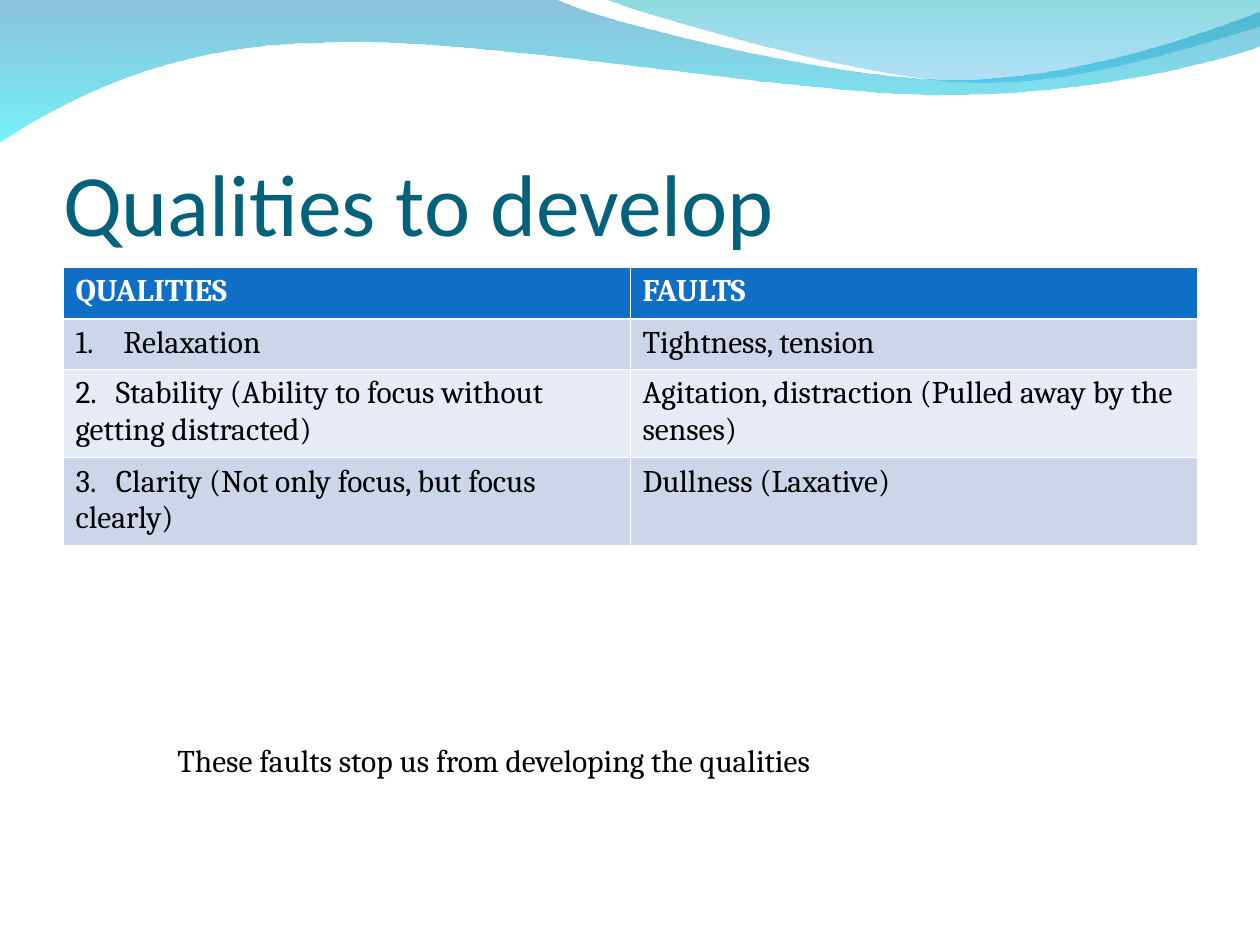
from lxml import etree
from pptx import Presentation
from pptx.dml.color import RGBColor
from pptx.enum.text import MSO_ANCHOR, MSO_AUTO_SIZE, PP_ALIGN
from pptx.oxml.ns import qn
from pptx.util import Inches, Pt

BOTTOM, LEFT = MSO_ANCHOR.BOTTOM, PP_ALIGN.LEFT
FIT_SHAPE, FIXED_SIZE = MSO_AUTO_SIZE.SHAPE_TO_FIT_TEXT, MSO_AUTO_SIZE.NONE
WHITE = RGBColor(0xFF, 0xFF, 0xFF)
BLACK = RGBColor(0, 0, 0)
TEAL = RGBColor(0x04, 0x61, 0x7B)
HEADER_BLUE = RGBColor(0x0F, 0x6F, 0xC6)
BAND_DARK = RGBColor(0xCC, 0xD5, 0xEA)
BAND_LIGHT = RGBColor(0xE7, 0xEB, 0xF5)
WAVE_BLUE = RGBColor(0x00, 0x79, 0xAF)
WAVE_CYAN = RGBColor(0x00, 0xEB, 0xF8)
WAVE_GREEN = RGBColor(0x00, 0xAD, 0xB6)
WAVE_SKY = RGBColor(0x00, 0x9B, 0xE5)


def add_run(paragraph, text, font_name, size, color, bold=False):
    run = paragraph.add_run()
    run.text = text
    run.font.name = font_name
    run.font.size = Pt(size)
    run.font.bold = bold
    run.font.color.rgb = color


def add_curved_freeform(shapes, start, segments):
    """Draw an outline; a segment of three points is a Bezier curve, of one a line."""
    builder = shapes.build_freeform(Inches(start[0]), Inches(start[1]))
    builder.add_line_segments([(Inches(x), Inches(y)) for segment in segments
                               for x, y in segment], close=True)
    shape = builder.convert_to_shape()
    lines = iter(list(shape._element.iter(qn("a:lnTo"))))
    for segment in segments:
        segment_lines = [next(lines) for _ in segment]
        if len(segment) == 3:
            curve = etree.Element(qn("a:cubicBezTo"))
            segment_lines[0].addprevious(curve)
            for line in segment_lines:
                curve.append(line[0])
                line.getparent().remove(line)
    return shape


presentation = Presentation()
presentation.slide_width = Inches(10)
presentation.slide_height = Inches(7.5)
slide = presentation.slides.add_slide(presentation.slide_layouts[5])

# Waves along the top: start, segments, gradient stops (colour, opacity in percent)
waves = [
    ((0, -0.01),
     [[(4.4, -0.01)],
      [(4.76, 0.17), (6.64, 0.63), (7.58, 0.63)],
      [(8.53, 0.63), (9.58, 0.26), (10, 0.09)],
      [(10.01, 0.36)],
      [(9.83, 0.44), (8.7, 0.76), (7.46, 0.75)],
      [(6.22, 0.75), (3.82, 0.28), (2.57, 0.34)],
      [(1.29, 0.35), (0.46, 0.83), (-0.01, 1.13)]],
     [(WAVE_BLUE, 45), (WAVE_CYAN, 55)]),
    ((4.79, -0.01),
     [[(5.09, 0.11), (6.82, 0.62), (7.69, 0.65)],
      [(8.56, 0.69), (9.61, 0.32), (10, 0.21)],
      [(10, 0)]],
     [(WAVE_GREEN, 45), (WAVE_SKY, 30)]),
]
for start, segments, stops in waves:
    wave = add_curved_freeform(slide.shapes, start, segments)
    wave.shadow.inherit = False
    wave.line.fill.background()
    wave.fill.gradient()
    wave.fill.gradient_angle = 270
    for stop, (color, opacity) in zip(wave.fill.gradient_stops, stops):
        stop.color.rgb = color
    color_elements = wave._element.spPr.iter(qn("a:srgbClr"))
    for element, (color, opacity) in zip(color_elements, stops):
        etree.SubElement(element, qn("a:alpha"), val=str(opacity * 1000))

# Title, in front of the waves
title = slide.shapes.title
slide.shapes._spTree.append(title._element)
title.left, title.top = Inches(0.5), Inches(0.77)
title.width, title.height = Inches(9), Inches(1.25)
frame = title.text_frame
frame.auto_size = FIXED_SIZE
frame.vertical_anchor = BOTTOM
frame.margin_left = frame.margin_right = frame.margin_bottom = 0
frame.margin_top = Inches(0.05)
frame.paragraphs[0].alignment = LEFT
add_run(frame.paragraphs[0], "Qualities to develop", "Calibri", 50, TEAL)

# Table of qualities and faults
rows = [
    ("QUALITIES", "FAULTS"),
    ("Relaxation", "Tightness, tension"),
    ("2.\tStability (Ability to focus without getting distracted)",
     "Agitation, distraction (Pulled away by the senses)"),
    ("3.\tClarity (Not only focus, but focus clearly)", "Dullness (Laxative)"),
]
row_heights = [0.41, 0.4, 0.7, 0.7]
row_fills = [HEADER_BLUE, BAND_DARK, BAND_LIGHT, BAND_DARK]
table = slide.shapes.add_table(len(rows), 2, Inches(0.5), Inches(2.12),
                               Inches(9), Inches(sum(row_heights))).table
for row_index, texts in enumerate(rows):
    is_header = row_index == 0
    table.rows[row_index].height = Inches(row_heights[row_index])
    for column_index, text in enumerate(texts):
        cell = table.cell(row_index, column_index)
        paragraph = cell.text_frame.paragraphs[0]
        properties = paragraph._p.get_or_add_pPr()
        if text == "Relaxation":
            properties.set("marL", str(Inches(0.38)))
            properties.set("indent", str(-Inches(0.38)))
            etree.SubElement(properties, qn("a:buFont"), typeface="+mj-lt")
            etree.SubElement(properties, qn("a:buAutoNum"), type="arabicPeriod")
        elif "\t" in text:
            tabs = etree.SubElement(properties, qn("a:tabLst"))
            etree.SubElement(tabs, qn("a:tab"), pos=str(Inches(0.32)), algn="l")
        add_run(paragraph, text, "Cambria", 18, WHITE if is_header else BLACK, is_header)

        cell_properties = cell._tc.get_or_add_tcPr()
        for side in ("L", "R", "T", "B"):
            thick = (side == "B" and is_header) or (side == "T" and row_index == 1)
            border = etree.SubElement(cell_properties, qn(f"a:ln{side}"),
                                      w=str(Pt(1.47 if thick else 0.45)))
            border_fill = etree.SubElement(border, qn("a:solidFill"))
            etree.SubElement(border_fill, qn("a:srgbClr"), val=str(WHITE))
        cell.fill.solid()
        cell.fill.fore_color.rgb = row_fills[row_index]

# Closing remark
remark = slide.shapes.add_textbox(Inches(1.31), Inches(5.83), Inches(6.1), Inches(0.4))
remark.text_frame.word_wrap = False
remark.text_frame.auto_size = FIT_SHAPE
add_run(remark.text_frame.paragraphs[0],
        "These faults stop us from developing the qualities", "Cambria", 18, BLACK)

presentation.save("out.pptx")
